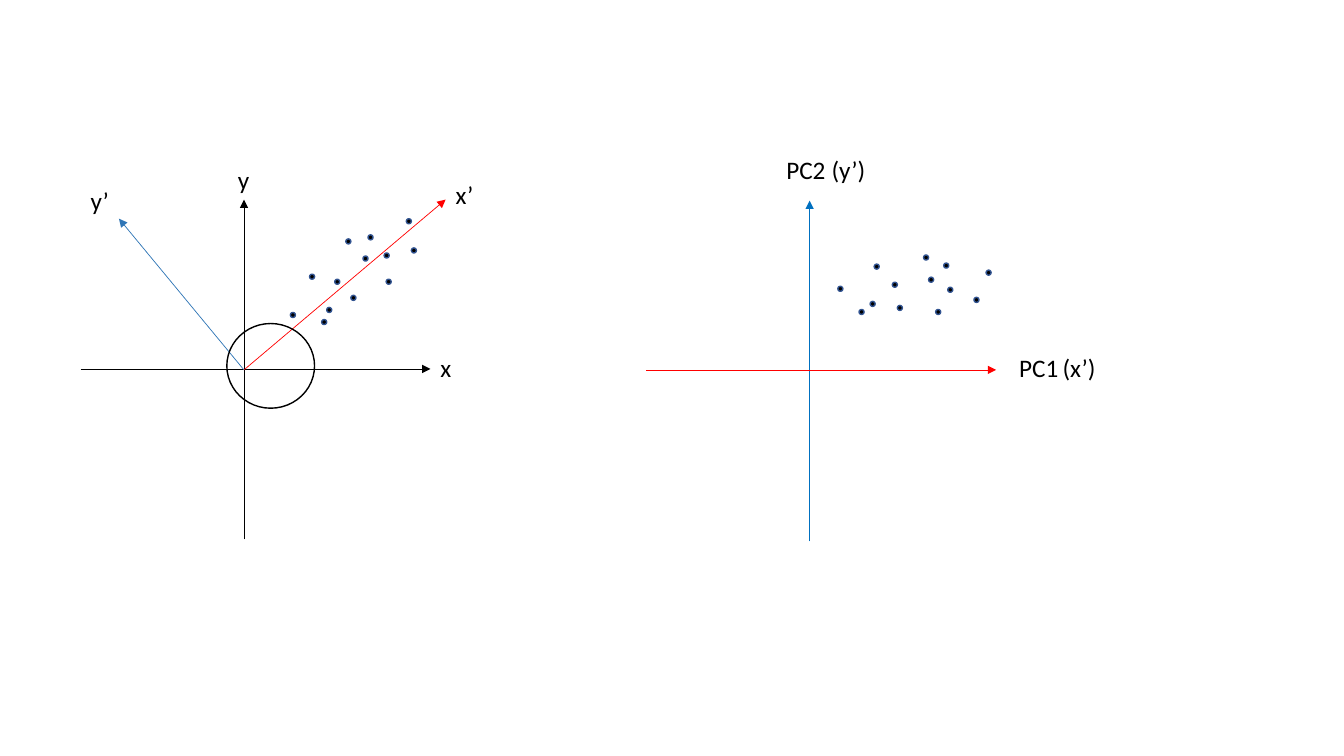
from pptx import Presentation
from pptx.dml.color import RGBColor
from pptx.enum.shapes import MSO_CONNECTOR, MSO_SHAPE
from pptx.enum.text import MSO_AUTO_SIZE
from pptx.oxml.ns import qn
from pptx.util import Inches, Pt
from lxml import etree

LINE = MSO_CONNECTOR.STRAIGHT
OVAL = MSO_SHAPE.OVAL
FIT = MSO_AUTO_SIZE.SHAPE_TO_FIT_TEXT

FONT = "Calibri"
BLACK, RED, BLUE, SKY, NAVY = "000000", "FF0000", "2E75B6", "0070C0", "325491"
DOT = 0.05

# Each arrow: tail x, y, then tip x, y, then colour
XY_AXES = [
    (2.42, 5.35, 2.42, 1.98, BLACK),
    (0.8, 3.66, 4.27, 3.66, BLACK),
]
NEW_AXES = [
    (2.42, 3.67, 4.42, 1.98, RED),
    (2.42, 3.67, 1.18, 2.17, BLUE),
]
PC_AXES = [
    (8.03, 5.37, 8.03, 1.99, SKY),
    (6.41, 3.67, 9.88, 3.67, RED),
]
# Left and top of each dot
XY_DOTS = [
    (3.32, 2.77), (3.48, 2.93), (3.24, 3.05), (3.6, 2.54), (3.83, 2.77),
    (2.88, 3.1), (3.07, 2.72), (3.43, 2.37), (3.81, 2.51), (3.65, 2.33),
    (3.19, 3.17), (4.03, 2.17), (4.08, 2.46),
]
PC_DOTS = [
    (8.85, 2.8), (8.9, 3.03), (8.63, 2.99), (9.21, 2.75), (9.28, 3.07),
    (8.31, 2.84), (8.67, 2.62), (9.16, 2.53), (9.4, 2.85), (9.36, 2.61),
    (8.52, 3.07), (9.78, 2.68), (9.66, 2.95),
]
# Text, left, top, width
LABELS = [
    ("x", 4.27, 3.45, 0.31), ("y", 2.26, 1.58, 0.32),
    ("x’", 4.42, 1.73, 0.38), ("y’", 0.8, 1.79, 0.39),
    ("PC1", 10.01, 3.45, 0.65), ("PC2", 7.7, 1.48, 0.59),
    ("(x’)", 10.44, 3.45, 0.59), ("(y’)", 8.15, 1.48, 0.54),
]
RING = (2.25, 3.21, 0.87, 0.84)


def rgb(code):
    return RGBColor.from_string(code)


def arrow(x1, y1, x2, y2, color):
    """Draw a thin line with a triangle at its second end."""
    line = shapes.add_connector(
        LINE, Inches(x1), Inches(y1), Inches(x2), Inches(y2))
    line.line.color.rgb = rgb(color)
    line.line.width = Pt(0.5)
    props = line._element.spPr
    etree.SubElement(props.find(qn("a:ln")), qn("a:tailEnd"), type="triangle")
    etree.SubElement(props, qn("a:effectLst"))


def oval(home, left, top, width, height, edge, fill=None):
    shape = home.add_shape(
        OVAL, Inches(left), Inches(top), Inches(width), Inches(height))
    shape.shadow.inherit = False
    if fill:
        shape.fill.solid()
        shape.fill.fore_color.rgb = rgb(fill)
    else:
        shape.fill.background()
    shape.line.color.rgb = rgb(edge)
    shape.line.width = Pt(1)


def scatter(home, dots):
    for left, top in dots:
        oval(home, left, top, DOT, DOT, NAVY, BLACK)


def label(text, left, top, width):
    box = shapes.add_textbox(
        Inches(left), Inches(top), Inches(width), Inches(0.4))
    frame = box.text_frame
    frame.text = text
    frame.word_wrap = False
    frame.auto_size = FIT
    font = frame.paragraphs[0].runs[0].font
    font.name = FONT
    font.size = Pt(18)
    font.color.rgb = rgb(BLACK)


deck = Presentation()
deck.slide_width = Inches(13.33)
deck.slide_height = Inches(7.5)
shapes = deck.slides.add_slide(deck.slide_layouts[6]).shapes

for axis in XY_AXES:
    arrow(*axis)
scatter(shapes, XY_DOTS)
for axis in NEW_AXES + PC_AXES:
    arrow(*axis)
scatter(shapes.add_group_shape().shapes, PC_DOTS)
for item in LABELS:
    label(*item)
oval(shapes, *RING, BLACK)

deck.save("out.pptx")
